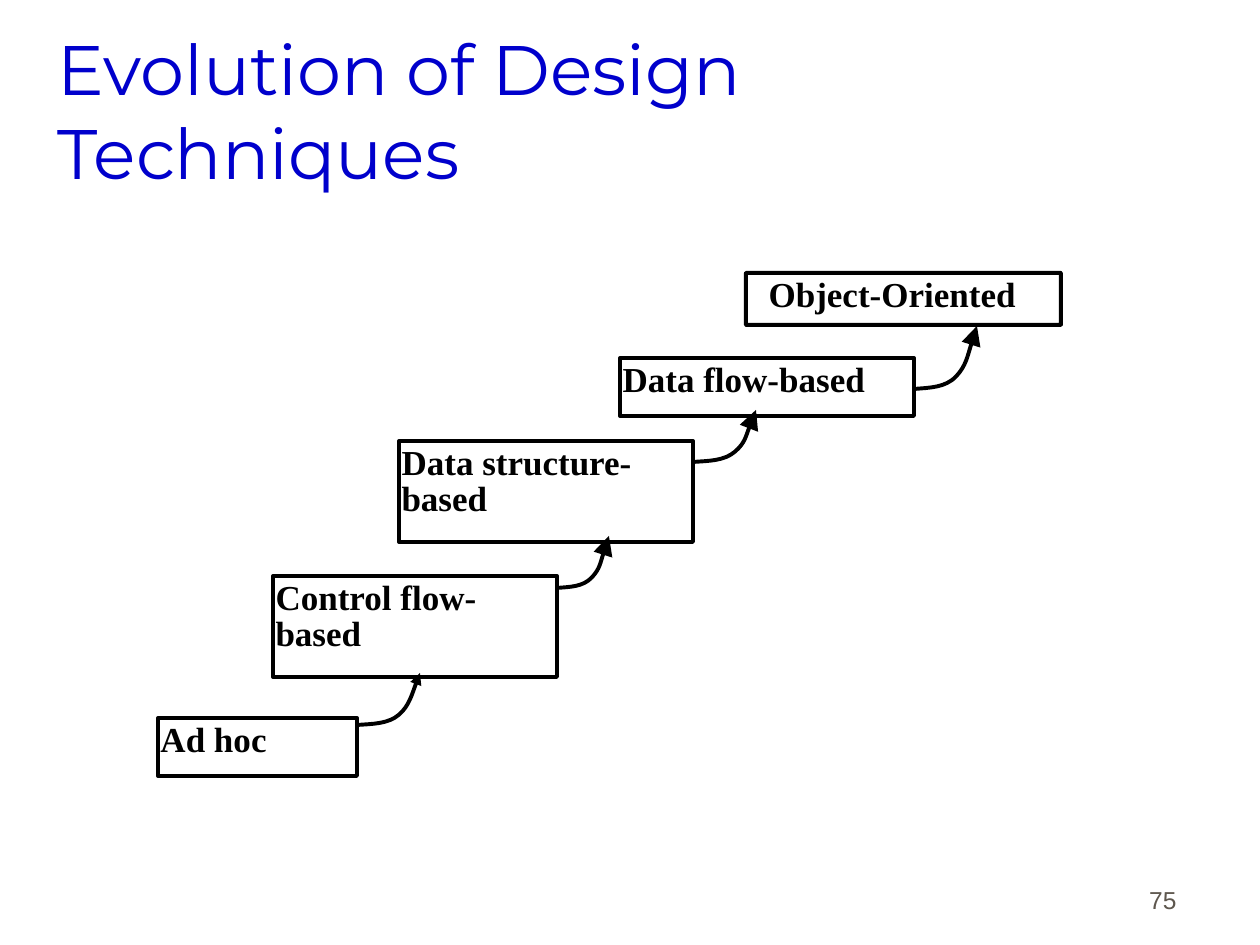
"""Build the slide on the evolution of design techniques."""
from dataclasses import dataclass
from typing import Any

from lxml import etree
import pptx
import pptx.dml.color
import pptx.enum.shapes
import pptx.enum.text
import pptx.oxml.ns
import pptx.util

qn = pptx.oxml.ns.qn
Align = pptx.enum.text.PP_ALIGN
Anchor = pptx.enum.text.MSO_ANCHOR
Preset = pptx.enum.shapes.MSO_SHAPE


@dataclass(frozen=True)
class Theme:
    title_color: str = "0000CC"
    ink: str = "000000"
    number_color: str = "5E574E"
    title_font: str = "Montserrat"
    label_font: str = "Times New Roman"
    number_font: str = "Arial"
    title_size: int = 40
    label_size: int = 20
    number_size: int = 14
    line_width: float = 2.25


def px(length):
    return round(length * 914400 / 126)


def rgb(color):
    return pptx.dml.color.RGBColor.from_string(color)


def write(frame, text, *, font, size, color, bold=False, align=Align.LEFT,
          anchor=Anchor.TOP, before=0, spacing=1.0, inset=0.02):
    frame.word_wrap = True
    frame.auto_size = pptx.enum.text.MSO_AUTO_SIZE.NONE
    frame.vertical_anchor = anchor
    frame.margin_left = frame.margin_right = pptx.util.Inches(inset)
    frame.margin_top = frame.margin_bottom = pptx.util.Inches(0.05)
    paragraph = frame.paragraphs[0]
    paragraph.alignment = align
    paragraph.space_before = pptx.util.Pt(before)
    paragraph.line_spacing = spacing
    run = paragraph.add_run()
    run.text = text
    run.font.name = font
    run.font.size = pptx.util.Pt(size)
    run.font.bold = bold
    run.font.color.rgb = rgb(color)


@dataclass
class SlideWriter:
    theme: Theme
    slide: Any

    def title(self, text, box):
        heading = self.slide.shapes.title
        heading.left, heading.top, heading.width, heading.height = map(px, box)
        write(heading.text_frame, text, font=self.theme.title_font,
              size=self.theme.title_size, color=self.theme.title_color,
              anchor=Anchor.MIDDLE, before=10)

    def page_number(self, text, box):
        number = self.slide.shapes.add_textbox(*map(px, box))
        write(number.text_frame, text, font=self.theme.number_font,
              size=self.theme.number_size, color=self.theme.number_color,
              align=Align.RIGHT, anchor=Anchor.BOTTOM, before=8.8, inset=0.1)

    def label(self, frame, text):
        write(frame, text, font=self.theme.label_font, size=self.theme.label_size,
              color=self.theme.ink, bold=True, before=11.5, spacing=0.85)

    def caption(self, text, box):
        self.label(self.slide.shapes.add_textbox(*map(px, box)).text_frame, text)

    def outline(self, shape):
        shape.shadow.inherit = False
        shape.fill.background()
        shape.line.color.rgb = rgb(self.theme.ink)
        shape.line.width = pptx.util.Pt(self.theme.line_width)

    def technique(self, text, box):
        technique = self.slide.shapes.add_shape(Preset.RECTANGLE, *map(px, box))
        self.outline(technique)
        self.label(technique.text_frame, text)

    def rounded_frame(self, box):
        frame = self.slide.shapes.add_shape(Preset.ROUNDED_RECTANGLE, *map(px, box))
        frame.adjustments[0] = 0.004
        self.outline(frame)

    def rising_arrow(self, box, head):
        left, top, width, height = box
        curve = [(0, 1), (0.25, 0.98), (0.5, 0.98), (0.67, 0.8),
                 (0.83, 0.63), (0.95, 0.14), (1, 0)]
        points = [(px(left + x * width), px(top + y * height)) for x, y in curve]
        builder = self.slide.shapes.build_freeform(*points[0])
        builder.add_line_segments(points[1:], close=False)
        arrow = builder.convert_to_shape()
        self.outline(arrow)
        steps = list(arrow.element.iter(qn("a:lnTo")))
        for first in range(0, len(steps), 3):
            bezier = etree.SubElement(steps[first].getparent(), qn("a:cubicBezTo"))
            for step in steps[first:first + 3]:
                bezier.append(step[0])
                step.getparent().remove(step)
        line = arrow.element.spPr.find(qn("a:ln"))
        etree.SubElement(line, qn("a:tailEnd"), type="triangle", w=head, len=head)


def main():
    deck = pptx.Presentation()
    deck.slide_width, deck.slide_height = px(1260), px(945)
    writer = SlideWriter(Theme(), deck.slides.add_slide(deck.slide_layouts[5]))
    writer.page_number("75", (927, 858, 262, 63))
    writer.title("Evolution of Design Techniques", (55, 31, 1071, 158))
    writer.caption("Object-Oriented", (766, 273, 294, 54))
    techniques = [
        ("Ad hoc", (158, 718, 199, 58)),
        ("Control flow-based", (273, 576, 284, 101)),
        ("Data structure-based", (399, 441, 294, 101)),
        ("Data flow-based", (620, 358, 294, 58)),
    ]
    for text, box in techniques:
        writer.technique(text, box)
    writer.rounded_frame((746, 273, 315, 52))
    arrows = [
        ((357, 673, 63, 52), "med"),
        ((557, 536, 52, 52), "lg"),
        ((693, 410, 63, 52), "lg"),
        ((914, 326, 63, 63), "lg"),
    ]
    for box, head in arrows:
        writer.rising_arrow(box, head)
    deck.save("out.pptx")


if __name__ == "__main__":
    main()
